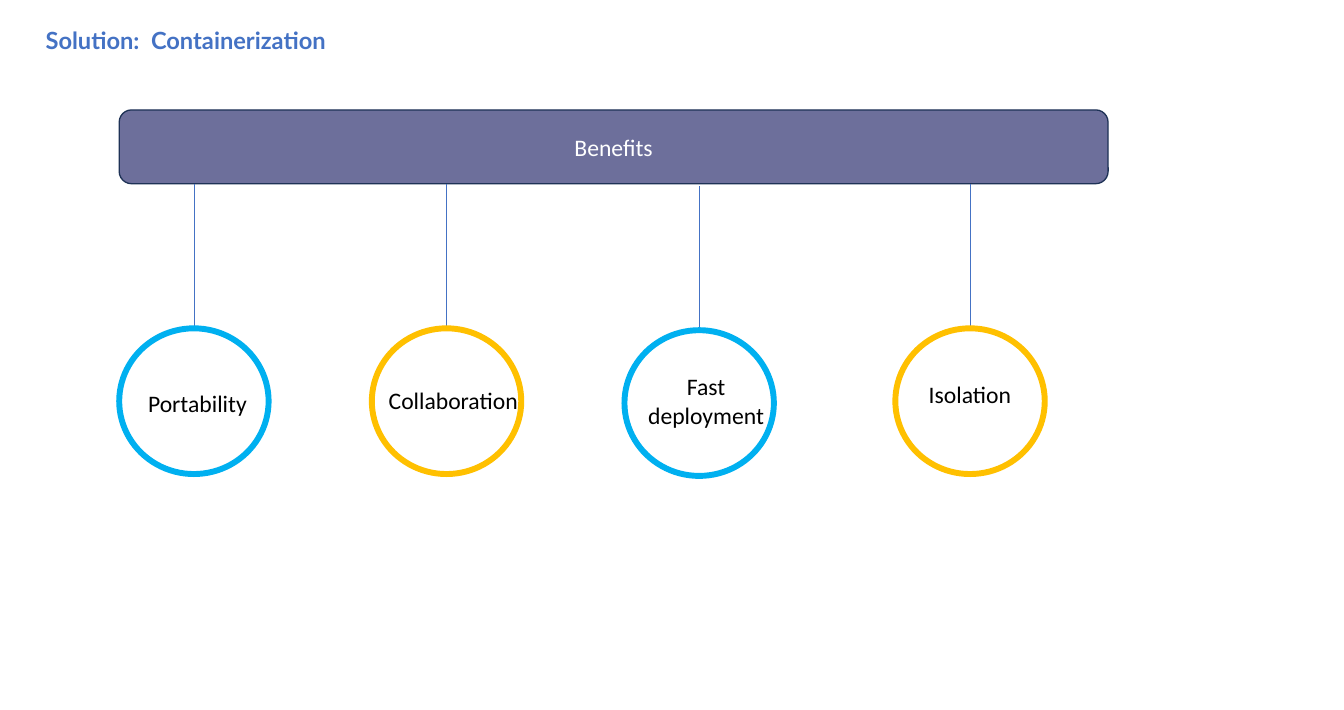
import pptx
import pptx.dml.color
import pptx.enum.shapes
import pptx.enum.text
import pptx.oxml.ns
import pptx.util
from lxml import etree

Cm = pptx.util.Cm
Pt = pptx.util.Pt
SHAPE = pptx.enum.shapes.MSO_SHAPE
ALIGN = pptx.enum.text.PP_ALIGN
COLORS = {
    "heading": "4472C4",
    "banner": "6D6F9B",
    "banner_edge": "1E3256",
    "blue": "00B0F0",
    "yellow": "FFC000",
    "white": "FFFFFF",
    "black": "000000",
}


class BenefitsSlide:
    """Draws the elements of the benefits diagram in one shared style."""

    def __init__(self, deck):
        self.slide = deck.slides.add_slide(deck.slide_layouts[5])
        self.shapes = self.slide.shapes

    def color(self, key):
        return pptx.dml.color.RGBColor.from_string(COLORS[key])

    def style(self, paragraph, color, align=ALIGN.CENTER, font="Calibri", bold=False):
        paragraph.alignment = align
        paragraph.font.name = font
        paragraph.font.size = Pt(18)
        paragraph.font.bold = bold
        paragraph.font.color.rgb = self.color(color)

    def title(self, text, left, top, width, height):
        heading = self.shapes.title
        heading.left, heading.top = Cm(left), Cm(top)
        heading.width, heading.height = Cm(width), Cm(height)
        frame = heading.text_frame
        frame.text = text
        frame.auto_size = pptx.enum.text.MSO_AUTO_SIZE.NONE
        frame.vertical_anchor = pptx.enum.text.MSO_ANCHOR.MIDDLE
        frame.paragraphs[0].line_spacing = 0.9
        self.style(frame.paragraphs[0], "heading", ALIGN.LEFT, "Lato", True)

    def outlined(self, kind, left, top, width, height, edge, weight):
        shape = self.shapes.add_shape(kind, Cm(left), Cm(top), Cm(width), Cm(height))
        shape.shadow.inherit = False
        shape.fill.background()
        shape.line.color.rgb = self.color(edge)
        shape.line.width = Pt(weight)
        return shape

    def banner(self, text, left, top, width, height):
        bar = self.outlined(SHAPE.ROUNDED_RECTANGLE, left, top, width, height, "banner_edge", 1)
        bar.fill.solid()
        bar.fill.fore_color.rgb = self.color("banner")
        bar.text_frame.text = text
        self.style(bar.text_frame.paragraphs[0], "white")

    def circle(self, left, top, width, height, edge):
        self.outlined(SHAPE.FLOWCHART_CONNECTOR, left, top, width, height, edge, 4.5)

    def stem(self, x, top, bottom):
        line = self.shapes.add_connector(
            pptx.enum.shapes.MSO_CONNECTOR.STRAIGHT, Cm(x), Cm(top), Cm(x), Cm(bottom))
        line.line.color.rgb = self.color("heading")
        line.line.width = Pt(0.5)
        etree.SubElement(line._element.spPr, pptx.oxml.ns.qn("a:effectLst"))

    def label(self, text, left, top, width, height):
        frame = self.shapes.add_textbox(Cm(left), Cm(top), Cm(width), Cm(height)).text_frame
        frame.word_wrap = False
        frame.auto_size = pptx.enum.text.MSO_AUTO_SIZE.SHAPE_TO_FIT_TEXT
        frame.text = text
        for paragraph in frame.paragraphs:
            self.style(paragraph, "black")


def main():
    deck = pptx.Presentation()
    deck.slide_width, deck.slide_height = Cm(36.07), Cm(19.05)
    board = BenefitsSlide(deck)
    board.title("Solution:  Containerization", 0.97, 0.46, 29.2, 1.32)
    board.banner("Benefits", 3.2, 2.95, 26.54, 1.98)

    circle_width, circle_height = 4.01, 3.91
    benefits = [
        ("Portability", "blue", 3.2, 8.81, (3.71, 10.31, 3.18, 1.02)),
        ("Collaboration", "yellow", 9.98, 8.81, (10.16, 10.24, 4.01, 1.02)),
        ("Fast\ndeployment", "blue", 16.76, 8.86, (17.12, 9.86, 3.66, 1.8)),
        ("Isolation", "yellow", 24.03, 8.81, (24.66, 10.06, 2.74, 1.02)),
    ]
    for benefit, edge, left, top, label_box in benefits:
        board.stem(left + circle_width / 2, top - 3.87, top - 0.03)
        board.circle(left, top, circle_width, circle_height, edge)
        board.label(benefit, *label_box)
    deck.save("out.pptx")


if __name__ == "__main__":
    main()
